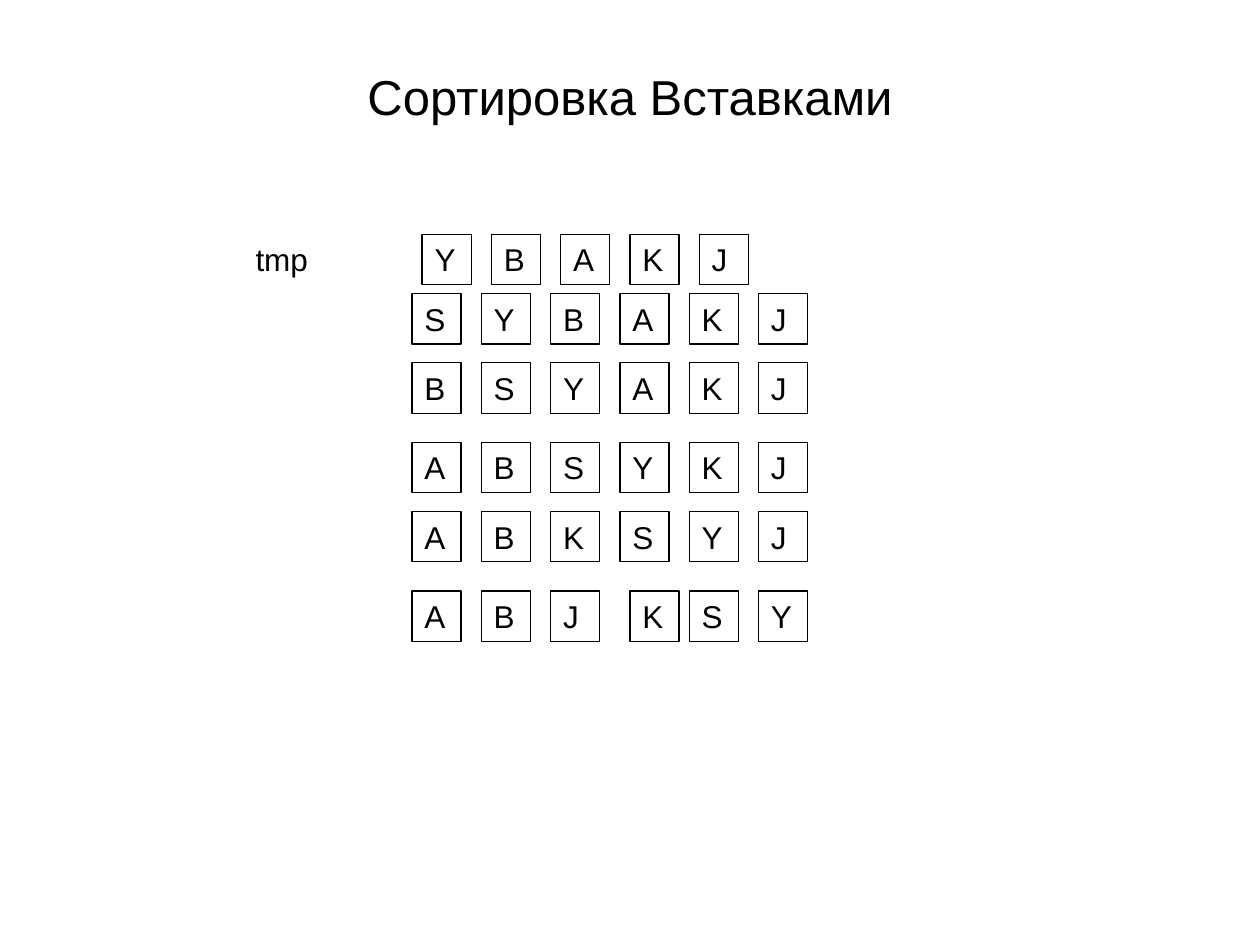
from pptx import Presentation
from pptx import util as u
from pptx.dml.color import RGBColor
from pptx.enum import shapes, text

PX = u.Inches(1) // 100
BLACK = RGBColor(0x00, 0x00, 0x00)
FONT = "Arial"
CELL_W, CELL_H, PITCH = 39, 40, 55
ROW_LEFT = 327
SORT_STEPS = [
    (233, "SYBAKJ"),
    (288, "BSYAKJ"),
    (351, "ABSYKJ"),
    (406, "ABKSYJ"),
    (469, "ABJKSY"),
]
LAST_K_SHIFT = {3: 8}


def box_emu(left, top, width, height):
    """Convert a px box to EMU lengths."""
    return [length * PX for length in (left, top, width, height)]


def style_paragraph(paragraph, size, align):
    """Set the font and alignment of a paragraph."""
    paragraph.alignment = align
    paragraph.font.name = FONT
    paragraph.font.size = u.Pt(size)
    paragraph.font.color.rgb = BLACK


def write_label(frame, label):
    """Write a left-aligned label at the top of a text frame."""
    frame.word_wrap = True
    frame.auto_size = text.MSO_AUTO_SIZE.SHAPE_TO_FIT_TEXT
    frame.vertical_anchor = text.MSO_ANCHOR.TOP
    frame.margin_left = frame.margin_right = 10 * PX
    frame.margin_top = frame.margin_bottom = 5 * PX
    frame.text = label
    style_paragraph(frame.paragraphs[0], 18, text.PP_ALIGN.LEFT)


def place_title(slide, heading, box):
    """Move and fill the title placeholder."""
    title = slide.shapes.title
    title.left, title.top, title.width, title.height = box_emu(*box)
    frame = title.text_frame
    frame.text = heading
    frame.auto_size = text.MSO_AUTO_SIZE.NONE
    frame.vertical_anchor = text.MSO_ANCHOR.MIDDLE
    style_paragraph(frame.paragraphs[0], 28, text.PP_ALIGN.CENTER)


def add_letter_row(slide, letters, left, top, shifts=None):
    """Draw one framed cell per letter, evenly spaced except for given shifts."""
    for column, letter in enumerate(letters):
        cell_left = left + column * PITCH + (shifts or {}).get(column, 0)
        cell = slide.shapes.add_shape(
            shapes.MSO_SHAPE.RECTANGLE, *box_emu(cell_left, top, CELL_W, CELL_H))
        cell.shadow.inherit = False
        cell.fill.background()
        cell.line.color.rgb = BLACK
        cell.line.width = u.Pt(0.75)
        write_label(cell.text_frame, letter)


def add_tmp_row(slide, left, top):
    """Place the tmp label and the letters taken out for insertion."""
    label = slide.shapes.add_textbox(*box_emu(left, top, 63, CELL_H))
    write_label(label.text_frame, "tmp")
    add_letter_row(slide, "YBAKJ", left + 142, top)


def add_sort_steps(slide, left):
    """Place the rows showing the array after each insertion."""
    for top, letters in SORT_STEPS:
        is_last = letters == SORT_STEPS[-1][1]
        add_letter_row(slide, letters, left, top, LAST_K_SHIFT if is_last else None)


def main():
    """Build the insertion sort slide."""
    deck = Presentation()
    deck.slide_width, deck.slide_height = 1000 * PX, 750 * PX
    slide = deck.slides.add_slide(deck.slide_layouts[5])
    place_title(slide, "Сортировка Вставками", (50, 30, 900, 93))
    add_tmp_row(slide, 193, 186)
    add_sort_steps(slide, ROW_LEFT)
    deck.save("out.pptx")


if __name__ == "__main__":
    main()
